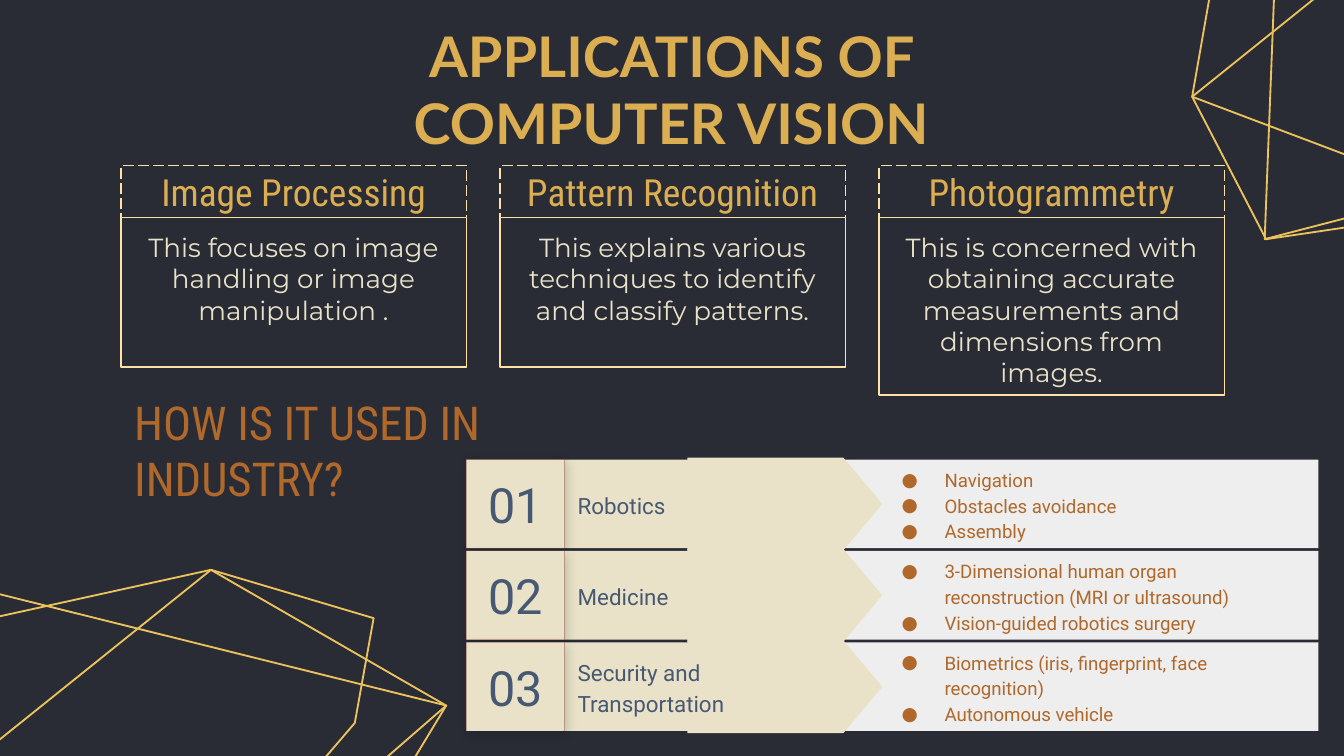
import lxml.etree
import pptx
import pptx.dml.color
import pptx.enum.dml
import pptx.enum.shapes
import pptx.enum.text
import pptx.oxml
import pptx.oxml.ns
import pptx.util

PAGE_WIDTH = 10
PAGE_HEIGHT = PAGE_WIDTH * 9 / 16
COLORS = {
    "night": "292C35", "gold": "DCAE52", "wire": "EBC25C", "frame": "FFE2A8",
    "cream": "E9E2C9", "rust": "B0682B", "slate": "475972", "pale": "EEEEEE",
    "red": "B02C20", "shadow": "000000",
}
SHAPE = pptx.enum.shapes.MSO_SHAPE
ALIGN = pptx.enum.text.PP_ALIGN
ANCHOR = pptx.enum.text.MSO_ANCHOR

# Wire polygons, relative to the corner of their region
WIRES = [
    [(0, 2.12), (0.28, 0.52), (2.64, 0), (3.85, 0.36), (3.71, 1.14), (2.17, 2.94)],
    [(0.55, 3.18), (0, 2.12), (2.64, 0), (4.39, 1.01), (2.17, 2.94)],
    [(0.54, 3.18), (0.66, 0.08), (4.39, 1.01), (3.55, 2.4)],
]
TOPICS = [
    ("Image Processing",
     "This focuses on image handling or image manipulation .", 1.11),
    ("Pattern Recognition",
     "This explains various techniques to identify and classify patterns.", 1.11),
    ("Photogrammetry",
     "This is concerned with obtaining accurate measurements and dimensions "
     "from images.", 1.32),
]
INDUSTRIES = [
    ("Robotics", ["Navigation", "Obstacles avoidance", "Assembly"]),
    ("Medicine", ["3-Dimensional human organ reconstruction (MRI or ultrasound)",
                  "Vision-guided robotics surgery"]),
    ("Security and Transportation",
     ["Biometrics (iris, fingerprint, face recognition)", "Autonomous vehicle"]),
]


def color(name):
    return pptx.dml.color.RGBColor.from_string(COLORS[name])


def inches(*lengths):
    return [pptx.util.Inches(length) for length in lengths]


def add_box(shapes, box, fill=None, line=None, dashed=False, kind=SHAPE.RECTANGLE):
    shape = shapes.add_shape(kind, *inches(*box))
    shape.shadow.inherit = False
    if fill:
        shape.fill.solid()
        shape.fill.fore_color.rgb = color(fill)
    else:
        shape.fill.background()
    if line:
        shape.line.color.rgb = color(line)
        shape.line.width = pptx.util.Pt(0.75)
        if dashed:
            shape.line.dash_style = pptx.enum.dml.MSO_LINE.LONG_DASH
    else:
        shape.line.fill.background()
    return shape


def add_label(shapes, box):
    return shapes.add_textbox(*inches(*box))


def write(shape, texts, font, size, ink, align=ALIGN.LEFT, anchor=ANCHOR.MIDDLE,
          spacing=None, bold=False, bullets=False):
    frame = shape.text_frame
    frame.word_wrap = True
    frame.auto_size = pptx.enum.text.MSO_AUTO_SIZE.NONE
    frame.vertical_anchor = anchor
    frame.margin_left = frame.margin_right = pptx.util.Inches(0.1)
    frame.margin_top = frame.margin_bottom = pptx.util.Inches(0.1)
    for index, text in enumerate(texts):
        para = frame.add_paragraph() if index else frame.paragraphs[0]
        para.alignment = align
        if spacing:
            para.line_spacing = spacing
        if bullets:
            add_bullet(para, ink, size)
        span = para.add_run()
        span.text = text
        span.font.name = font
        span.font.size = pptx.util.Pt(size)
        span.font.bold = bold
        span.font.color.rgb = color(ink)


def add_bullet(para, ink, size):
    name = pptx.oxml.ns.qn
    properties = para._p.get_or_add_pPr()
    properties.set("marL", str(pptx.util.Inches(0.5)))
    properties.set("indent", str(pptx.util.Inches(-0.32)))
    tint = lxml.etree.SubElement(properties, name("a:buClr"))
    lxml.etree.SubElement(tint, name("a:srgbClr"), val=COLORS[ink])
    lxml.etree.SubElement(properties, name("a:buSzPts"), val=str(size * 100))
    lxml.etree.SubElement(properties, name("a:buFont"), typeface="Roboto")
    lxml.etree.SubElement(properties, name("a:buChar"), char="●")


def add_soft_shadow(shape):
    name = pptx.oxml.ns.qn
    effects = shape._element.spPr.find(name("a:effectLst"))
    shadow = lxml.etree.SubElement(
        effects, name("a:outerShdw"), blurRad=str(pptx.util.Pt(5.6)),
        dist=str(pptx.util.Pt(2.2)), dir=str(45 * 60000), algn="tl", rotWithShape="0")
    tint = lxml.etree.SubElement(shadow, name("a:srgbClr"), val=COLORS["shadow"])
    lxml.etree.SubElement(tint, name("a:alpha"), val="17000")


def draw_wires(page, left, top):
    for polygon in WIRES:
        points = [inches(left + x, top + y) for x, y in polygon]
        builder = page.shapes.build_freeform(*points[0])
        builder.add_line_segments(points[1:], close=True)
        wire = builder.convert_to_shape()
        wire.shadow.inherit = False
        wire.fill.background()
        wire.line.color.rgb = color("wire")
        wire.line.width = pptx.util.Pt(1)


def place_title(page, box):
    title = page.shapes.title
    title.left, title.top, title.width, title.height = inches(*box)
    write(title, ["APPLICATIONS OF COMPUTER VISION"], "Lato", 30, "gold",
          ALIGN.CENTER, bold=True)


def draw_topic(page, box, heading, body):
    left, top, width, height = box
    head = 0.39
    header = add_box(page.shapes, (left, top, width, head), line="frame", dashed=True)
    write(header, [heading], "Roboto Condensed", 20, "gold", ALIGN.CENTER)
    card = add_box(page.shapes, (left, top + head, width, height - head), line="frame")
    write(card, [body], "Montserrat", 14, "cream", ALIGN.CENTER, ANCHOR.TOP)


def draw_industry(page, box, number, name, uses):
    left, top, width, height = box
    badge = 0.73
    middle = left + badge
    row = page.shapes.add_group_shape().shapes

    # Backing panels
    add_box(row, (left + 2.27, top, width - 2.27, height), "pale")
    add_box(row, (middle, top, 1.96, height), "cream")

    # Arrow pointing right, turned about its centre, slightly taller than the row
    length, breadth, center = 1.45, height + 0.03, left + 2.37
    arrow = add_box(row, (center - breadth / 2, top + (height - length) / 2,
                          breadth, length), "cream",
                    kind=SHAPE.FLOWCHART_OFFPAGE_CONNECTOR)
    arrow.rotation = 270

    # Name of the industry
    write(add_label(row, (middle, top + 0.07, 2.06, 0.51)), [name],
          "Roboto", 12, "slate", spacing=1.15)

    # Number badge
    badge_box = (left, top, badge, height)
    add_soft_shadow(add_box(row, badge_box, "red"))
    write(add_box(row, badge_box, "cream"), [f"{number:02d}"],
          "Roboto", 26, "slate", ALIGN.CENTER)

    # Uses
    write(add_label(row, (left + 2.96, top, 3.16, height)), uses,
          "Roboto", 10, "rust", spacing=1.15, bullets=True)


def main():
    deck = pptx.Presentation()
    deck.slide_width, deck.slide_height = inches(PAGE_WIDTH, PAGE_HEIGHT)
    page = deck.slides.add_slide(deck.slide_layouts[5])
    page.background.fill.solid()
    page.background.fill.fore_color.rgb = color("night")

    # Corner decoration
    draw_wires(page, -1.07, 4.24)
    draw_wires(page, 8.87, -1.4)

    place_title(page, (2.18, 0.17, 5.63, 0.98))

    # Three topic columns
    for column, (heading, body, body_height) in enumerate(TOPICS):
        draw_topic(page, (0.9 + column * 2.82, 1.23, 2.57, 0.39 + body_height),
                   heading, body)

    # Question and industry rows
    write(add_label(page.shapes, (0.9, 2.83, 3.89, 0.6)),
          ["HOW IS IT USED IN INDUSTRY?"], "Roboto Condensed", 25, "rust",
          anchor=ANCHOR.TOP)
    for index, (name, uses) in enumerate(INDUSTRIES):
        draw_industry(page, (3.47, 3.42 + index * 0.68, 6.34, 0.66),
                      index + 1, name, uses)

    deck.save("out.pptx")


if __name__ == "__main__":
    main()
